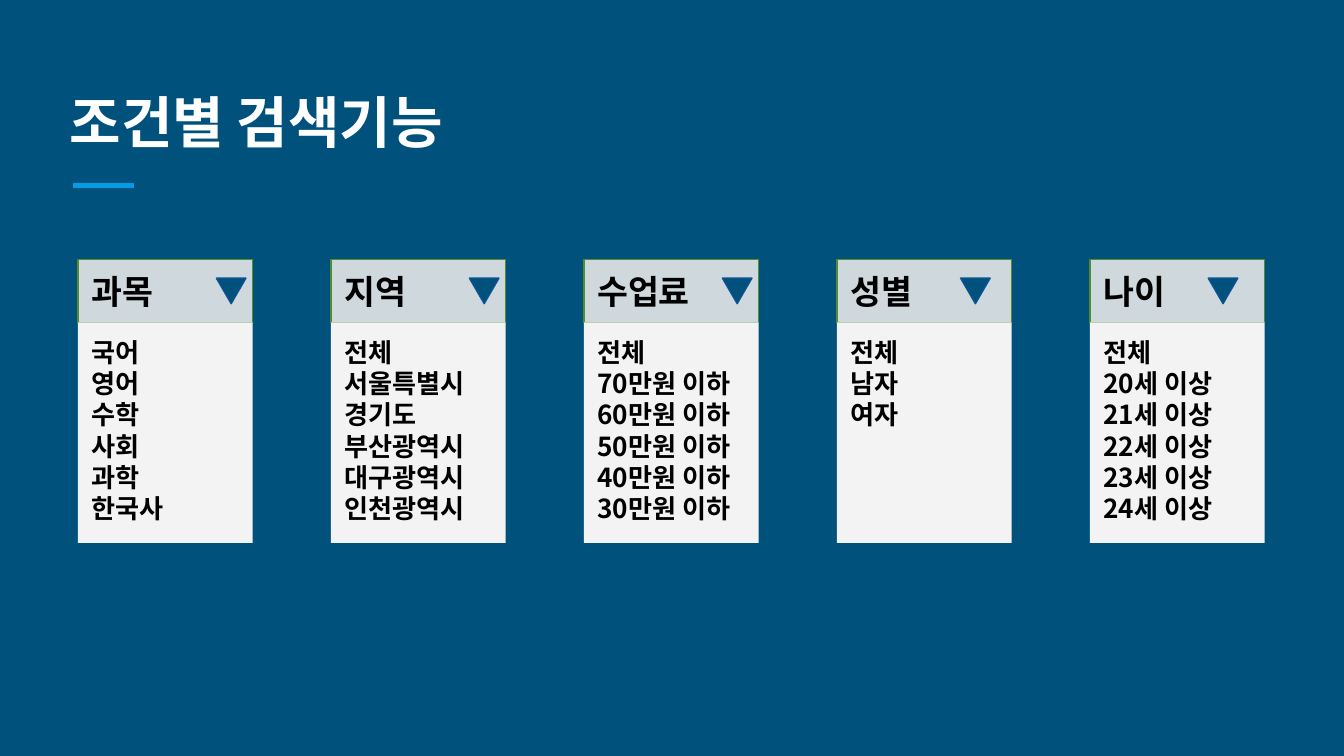
from lxml.etree import SubElement
from pptx import Presentation
from pptx.dml.color import RGBColor as Rgb
from pptx.enum.shapes import MSO_CONNECTOR as Connector, MSO_SHAPE as Shape
from pptx.enum.text import MSO_ANCHOR as Anchor, PP_ALIGN as Align
from pptx.oxml.ns import qn
from pptx.util import Inches, Pt

COLORS = {
    "background": "00517C", "accent": "039BE5", "title": "FFFFFF", "text": "000000",
    "header": "CFD8DC", "header_line": "558B2F", "list": "F3F3F3", "arrow_line": "0B5394",
}
FONT = "Noto Sans CJK KR"
TITLE = "조건별 검색기능"
FILTERS = [
    ("과목", 1.03, ["국어", "영어", "수학", "사회", "과학", "한국사"]),
    ("지역", 1.03, ["전체", "서울특별시", "경기도", "부산광역시", "대구광역시", "인천광역시"]),
    ("수업료", 1.03, ["전체"] + [f"{fee}만원 이하" for fee in range(70, 20, -10)]),
    ("성별", 0.92, ["전체", "남자", "여자"]),
    ("나이", 0.88, ["전체"] + [f"{age}세 이상" for age in range(20, 25)]),
]
WIDTH = 10
HEIGHT = WIDTH * 9 / 16
GRID_LEFT, GRID_RIGHT, GRID_TOP, COLUMN_WIDTH = 0.58, 9.41, 1.93, 1.3
COLUMN_STEP = (GRID_RIGHT - COLUMN_WIDTH - GRID_LEFT) / (len(FILTERS) - 1)
HEADER_HEIGHT, LIST_HEIGHT = 0.47, 1.64
ARROW_WIDTH, ARROW_HEIGHT = 0.22, 0.19


def color(name):
    return Rgb.from_string(COLORS[name])


def write(box, lines, size, ink, anchor, spacing=None):
    frame = box.text_frame
    frame.word_wrap = True
    frame.vertical_anchor = anchor
    frame.margin_left = frame.margin_right = Inches(0.1)
    frame.margin_top = frame.margin_bottom = Inches(0.1)
    frame.text = "\n".join(lines)
    for para in frame.paragraphs:
        para.alignment = Align.LEFT
        para.line_spacing = spacing
        font = para.font
        font.name, font.size, font.bold = FONT, Pt(size), True
        font.color.rgb = color(ink)
        SubElement(para._p.pPr.find(qn("a:defRPr")), qn("a:ea"), typeface=FONT)


def add_block(shapes, kind, place, fill, line=None):
    block = shapes.add_shape(kind, *map(Inches, place))
    block.shadow.inherit = False
    block.fill.solid()
    block.fill.fore_color.rgb = color(fill)
    if line:
        block.line.color.rgb = color(line)
        block.line.width = Pt(0.75)
    else:
        block.line.fill.background()
    return block


def add_filter(page, column, name, arrow_offset, options):
    left = GRID_LEFT + column * COLUMN_STEP
    group = page.shapes.add_group_shape()
    header = add_block(group.shapes, Shape.RECTANGLE,
                       (left, GRID_TOP, COLUMN_WIDTH, HEADER_HEIGHT), "header", "header_line")
    write(header, [name], 18, "text", Anchor.MIDDLE)
    arrow_top = GRID_TOP + (HEADER_HEIGHT - ARROW_HEIGHT) / 2
    arrow = add_block(group.shapes, Shape.ISOSCELES_TRIANGLE,
                      (left + arrow_offset, arrow_top, ARROW_WIDTH, ARROW_HEIGHT),
                      "background", "arrow_line")
    arrow.rotation = 180
    choices = add_block(page.shapes, Shape.RECTANGLE,
                        (left, GRID_TOP + HEADER_HEIGHT, COLUMN_WIDTH, LIST_HEIGHT), "list")
    write(choices, options, 14, "text", Anchor.TOP, Pt(16.8))


def main():
    deck = Presentation()
    deck.slide_width, deck.slide_height = Inches(WIDTH), Inches(HEIGHT)
    page = deck.slides.add_slide(deck.slide_layouts[6])
    page.background.fill.solid()
    page.background.fill.fore_color.rgb = color("background")

    rule = page.shapes.add_connector(Connector.STRAIGHT, *map(Inches, (0.54, 1.38, 1, 1.38)))
    rule.line.color.rgb = color("accent")
    rule.line.width = Pt(3)
    SubElement(rule._element.spPr, qn("a:effectLst"))

    title = page.shapes.add_textbox(*map(Inches, (0.42, 0.5, 9.15, 0.75)))
    write(title, [TITLE], 30, "title", Anchor.BOTTOM)

    for column, (name, arrow_offset, options) in enumerate(FILTERS):
        add_filter(page, column, name, arrow_offset, options)
    deck.save("out.pptx")


if __name__ == "__main__":
    main()
